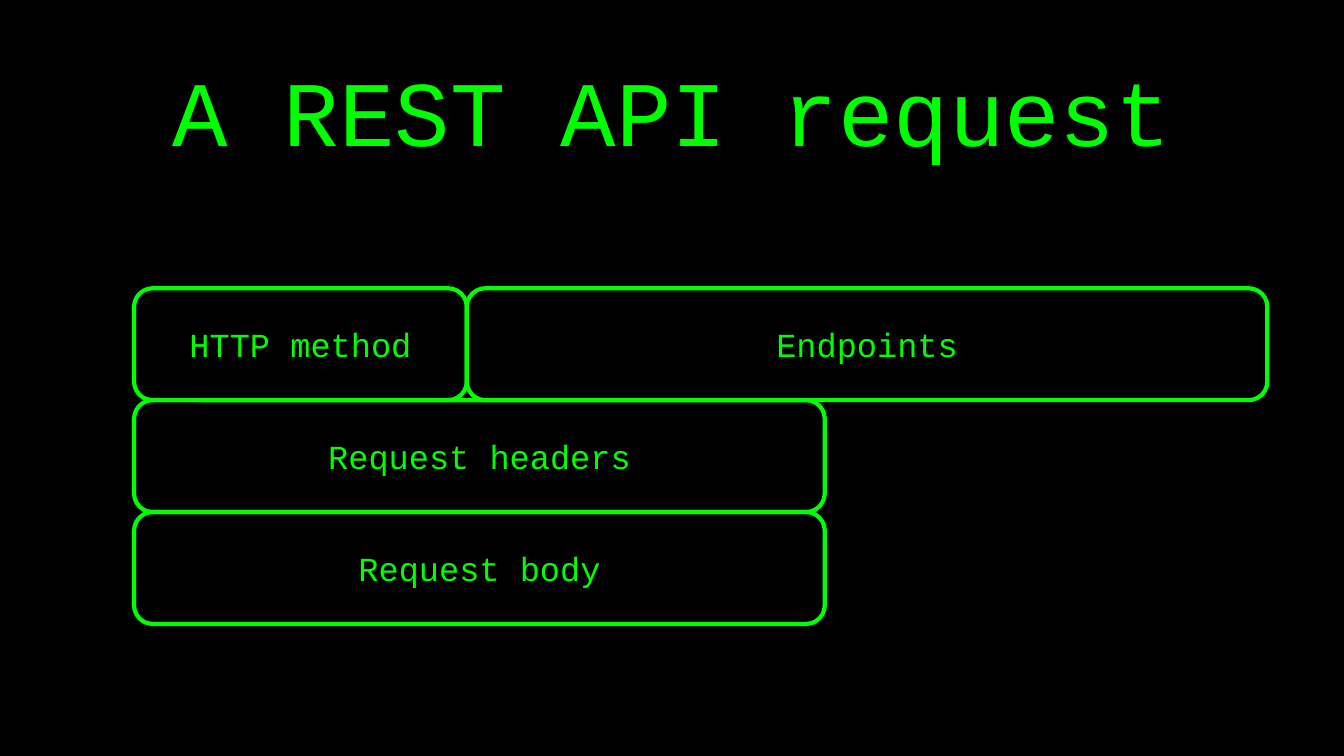
from dataclasses import dataclass

from pptx import Presentation, util as u
from pptx.dml.color import RGBColor
from pptx.enum import shapes, text


@dataclass(frozen=True)
class Theme:
    background: RGBColor = RGBColor(0, 0, 0)
    accent: RGBColor = RGBColor(0, 255, 0)
    font: str = "Courier New"
    title_size: int = 66
    label_size: int = 24
    outline: int = 3


THEME = Theme()
SLIDE_W, SLIDE_H = 1333, 750

# Each row of the request lists its parts as (label, width)
REQUEST_ROWS = [
    [("HTTP method", 330), ("Endpoints", 794)],
    [("Request headers", 685)],
    [("Request body", 685)],
]


def px(n):
    return u.Emu(n * 9144)


def write(tf, content, size, anchor=text.MSO_ANCHOR.MIDDLE):
    tf.word_wrap = True
    tf.vertical_anchor = anchor
    p = tf.paragraphs[0]
    p.alignment = text.PP_ALIGN.CENTER
    r = p.add_run()
    r.text = content
    r.font.name = THEME.font
    r.font.size = u.Pt(size)
    r.font.color.rgb = THEME.accent


def add_title(s, content, x, y, w, h):
    sp = s.shapes.add_textbox(px(x), px(y), px(w), px(h))
    write(sp.text_frame, content, size=THEME.title_size, anchor=text.MSO_ANCHOR.TOP)


def add_part(s, label, x, y, w, h):
    sp = s.shapes.add_shape(
        shapes.MSO_SHAPE.ROUNDED_RECTANGLE, px(x), px(y), px(w), px(h))
    sp.shadow.inherit = False
    sp.fill.background()
    sp.line.color.rgb = THEME.accent
    sp.line.width = u.Pt(THEME.outline)
    write(sp.text_frame, label, size=THEME.label_size)


def add_request(s, rows, x, y, h):
    """Stack the rows in height h, with the parts of a row side by side."""
    row_h = h // len(rows)
    for i, row in enumerate(rows):
        left = x
        for label, w in row:
            add_part(s, label, left, y + i * row_h, w, row_h)
            left += w


def main():
    prs = Presentation()
    prs.slide_width, prs.slide_height = px(SLIDE_W), px(SLIDE_H)
    s = prs.slides.add_slide(prs.slide_layouts[6])
    s.background.fill.solid()
    s.background.fill.fore_color.rgb = THEME.background

    # Title
    add_title(s, "A REST API request", x=0, y=49, w=SLIDE_W, h=121)

    # Request diagram
    add_request(s, REQUEST_ROWS, x=133, y=286, h=333)

    prs.save("out.pptx")


if __name__ == "__main__":
    main()
